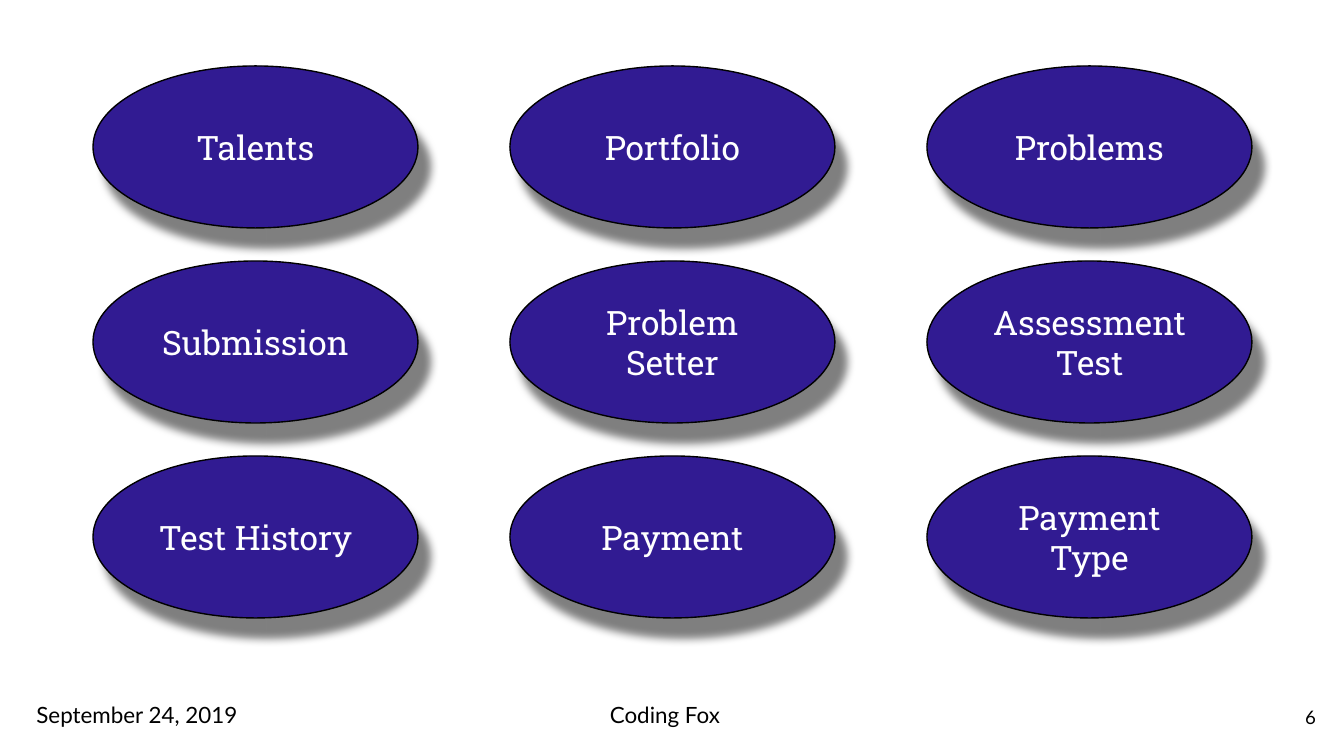
import pptx
import pptx.dml.color
import pptx.enum.shapes
import pptx.enum.text
import pptx.oxml
import pptx.oxml.ns
import pptx.util

PX_PER_INCH = 134.4
ALIGN = pptx.enum.text.PP_ALIGN
ANCHOR = pptx.enum.text.MSO_ANCHOR


def px(length):
    return pptx.util.Emu(round(length * 914400 / PX_PER_INCH))


def color(value):
    return pptx.dml.color.RGBColor.from_string(value)


class EntitySlide:
    """Holds the style and the slide being drawn."""

    BLACK, WHITE, INDIGO = "000000", "FFFFFF", "311B92"
    BODY_FONT, ENTITY_FONT = "Lato", "Roboto Slab"
    INSET = 13

    def __init__(self, deck):
        self.slide = deck.slides.add_slide(deck.slide_layouts[6])

    def label(self, shape, text, font, size, text_color, align, anchor):
        frame = shape.text_frame
        frame_format = {"word_wrap": True, "vertical_anchor": anchor}
        for side in ("left", "top", "right", "bottom"):
            frame_format[f"margin_{side}"] = px(self.INSET)
        for name, value in frame_format.items():
            setattr(frame, name, value)

        paragraph = frame.paragraphs[0]
        paragraph.alignment = align
        run = paragraph.add_run()
        run.text = text
        for name, value in {"name": font, "size": pptx.util.Pt(size)}.items():
            setattr(run.font, name, value)
        run.font.color.rgb = color(text_color)

    def footer(self, text, left, width, size=12, align=ALIGN.CENTER, anchor=ANCHOR.TOP):
        box = self.slide.shapes.add_textbox(px(left), px(688), px(width), px(58))
        self.label(box, text, self.BODY_FONT, size, self.BLACK, align, anchor)

    def cast_shadow(self, shape):
        shape.shadow.inherit = False
        effects = shape._element.spPr.find(pptx.oxml.ns.qn("a:effectLst"))
        effects.append(pptx.oxml.parse_xml(
            f'<a:outerShdw {pptx.oxml.ns.nsdecls("a")} blurRad="{pptx.util.Pt(4.5)}" '
            f'dist="{pptx.util.Pt(12)}" dir="{60 * 60000}" algn="bl" rotWithShape="0">'
            f'<a:srgbClr val="{self.BLACK}"><a:alpha val="50000"/></a:srgbClr>'
            '</a:outerShdw>'))

    def entity(self, text, left, top):
        ellipse = self.slide.shapes.add_shape(
            pptx.enum.shapes.MSO_SHAPE.OVAL, px(left), px(top), px(325), px(162))
        ellipse.fill.solid()
        ellipse.fill.fore_color.rgb = color(self.INDIGO)
        ellipse.line.color.rgb = color(self.BLACK)
        ellipse.line.width = pptx.util.Pt(0.75)
        self.cast_shadow(ellipse)
        self.label(ellipse, text, self.ENTITY_FONT, 18, self.WHITE,
                   ALIGN.CENTER, ANCHOR.MIDDLE)


def main():
    deck = pptx.Presentation()
    deck.slide_width, deck.slide_height = px(1344), px(756)
    page = EntitySlide(deck)

    # Footer: page number, date and project
    page.footer("6", 1249, 80, size=10, align=ALIGN.RIGHT, anchor=ANCHOR.MIDDLE)
    page.footer("September 24, 2019", 18, 238)
    page.footer("Coding Fox", 546, 238)

    # Entities in a three by three grid
    entity_rows = [
        ["Talents", "Portfolio", "Problems"],
        ["Submission", "Problem Setter", "Assessment Test"],
        ["Test History", "Payment", "Payment Type"],
    ]
    for row, entities in enumerate(entity_rows):
        for column, entity in enumerate(entities):
            page.entity(entity, 93 + 417 * column, 66 + 195 * row)

    deck.save("out.pptx")


if __name__ == "__main__":
    main()
